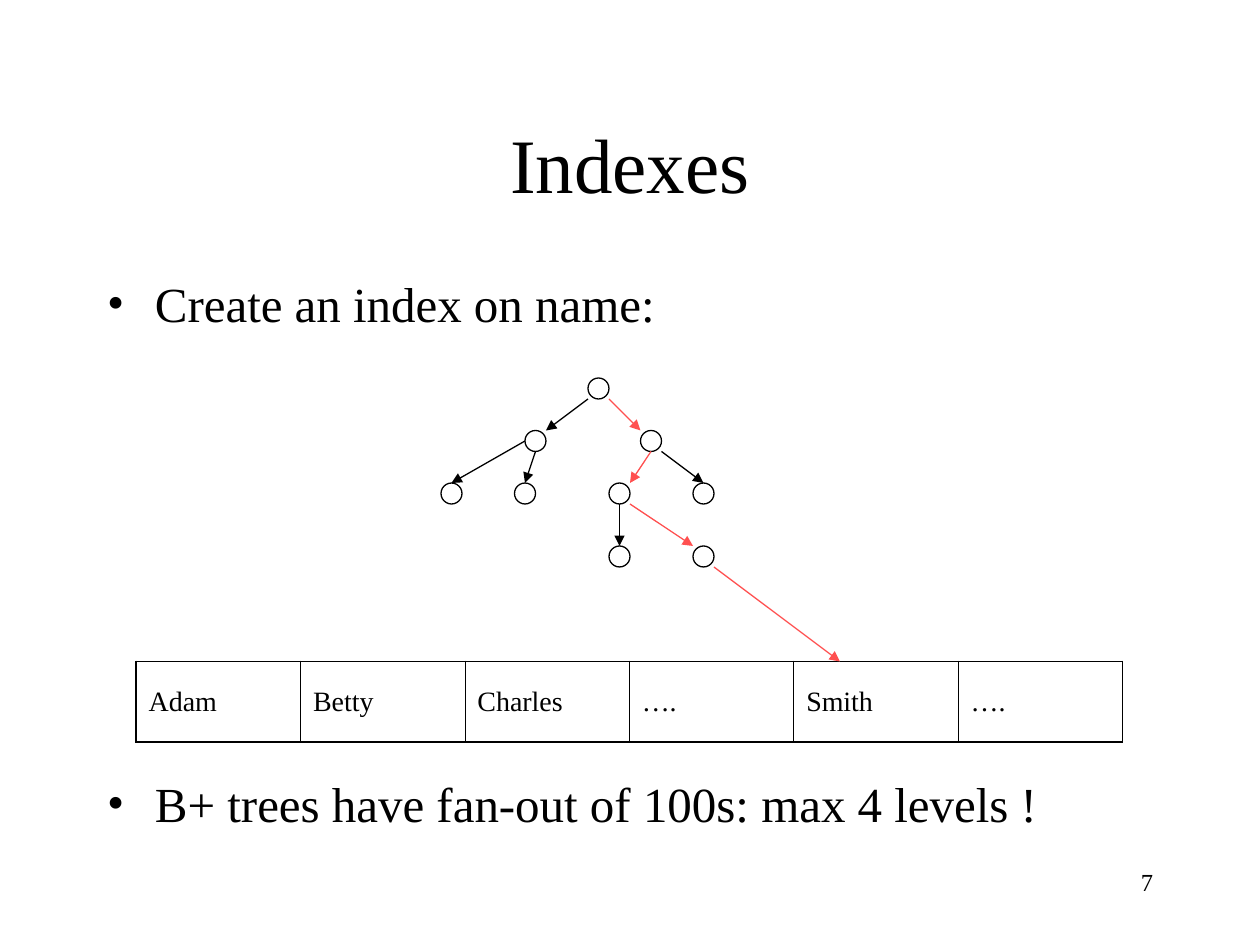
"""Build the slide on indexes: a search tree leading into a row of names."""
import pptx
import pptx.util
import pptx.dml.color
import pptx.oxml
import pptx.oxml.ns
import pptx.enum.text
import pptx.enum.shapes
from dataclasses import dataclass
from lxml import etree

Inches, Pt = pptx.util.Inches, pptx.util.Pt
RGB = pptx.dml.color.RGBColor.from_string
qn = pptx.oxml.ns.qn
ALIGN, ANCHOR = pptx.enum.text.PP_ALIGN, pptx.enum.text.MSO_ANCHOR


@dataclass(frozen=True)
class Theme:
    font: str = "Times New Roman"
    ink: str = "000000"
    path_ink: str = "FF5050"
    title: int = 44
    body: int = 28
    cell: int = 16
    number: int = 14
    line: float = 0.75
    outer: float = 1.08
    inner: float = 0.45


theme = Theme()


def put(p, text, size, align=ALIGN.LEFT, before=0, bullet=False):
    p.alignment = align
    p.space_before = Pt(before)
    r = p.add_run()
    r.text = text
    r.font.name, r.font.size = theme.font, Pt(size)
    r.font.color.rgb = RGB(theme.ink)
    if bullet:
        pPr = p._p.get_or_add_pPr()
        pPr.set("marL", str(Inches(0.38)))
        pPr.set("indent", str(-Inches(0.38)))
        etree.SubElement(pPr, qn("a:buFont")).set("typeface", theme.font)
        etree.SubElement(pPr, qn("a:buChar")).set("char", "•")


prs = pptx.Presentation()
prs.slide_width, prs.slide_height = Inches(10), Inches(7.5)
s = prs.slides.add_slide(prs.slide_layouts[1])

title, body = s.placeholders
title.left, title.top, title.width, title.height = map(Inches, (0.75, 0.67, 8.5, 1.25))
title.text_frame.vertical_anchor = ANCHOR.MIDDLE
put(title.text_frame.paragraphs[0], "Indexes", theme.title, align=ALIGN.CENTER)

body.left, body.top, body.width, body.height = map(Inches, (0.75, 2.17, 8.75, 4.5))
tf = body.text_frame
tf.auto_size = pptx.enum.text.MSO_AUTO_SIZE.NONE
tf.margin_top = 0
put(tf.paragraphs[0], "Create an index on name:", theme.body, before=7, bullet=True)
put(tf.add_paragraph(), "B+ trees have fan-out of 100s: max 4 levels !", theme.body,
    before=252, bullet=True)

number = s.shapes.add_textbox(Inches(7.17), Inches(6.83), Inches(2.08), Inches(0.5))
number.text_frame.word_wrap = True
put(number.text_frame.paragraphs[0], "7", theme.number, align=ALIGN.RIGHT)

names = ["Adam", "Betty", "Charles", "….", "Smith", "…."]
frame = s.shapes.add_table(1, len(names), Inches(1.08), Inches(5.25), Inches(7.83), Inches(0.64))
table = frame.table
table.first_row = table.horz_banding = False
for i, name in enumerate(names):
    cell = table.cell(0, i)
    cell.fill.background()
    cell.vertical_anchor = ANCHOR.MIDDLE
    put(cell.text_frame.paragraphs[0], name, theme.cell, before=4)
    widths = {
        "a:lnL": theme.outer if i == 0 else theme.inner,
        "a:lnR": theme.outer if i == len(names) - 1 else theme.inner,
        "a:lnT": theme.outer,
        "a:lnB": theme.outer,
    }
    tcPr = cell._tc.get_or_add_tcPr()
    for n, (tag, width) in enumerate(widths.items()):
        ln = etree.Element(qn(tag), w=str(Pt(width)))
        fill = etree.SubElement(ln, qn("a:solidFill"))
        etree.SubElement(fill, qn("a:srgbClr")).set("val", theme.ink)
        tcPr.insert(n, ln)

# Tree positions are in twelfths of an inch.
nodes = [(56, 36), (50, 41), (61, 41), (42, 46), (49, 46), (58, 46), (66, 46), (58, 52), (66, 52)]
for x, y in nodes:
    sp = s.shapes.add_shape(pptx.enum.shapes.MSO_SHAPE.OVAL,
                            Inches(x / 12), Inches(y / 12), Inches(2 / 12), Inches(2 / 12))
    sp.shadow.inherit = False
    sp.fill.background()
    sp.line.color.rgb, sp.line.width = RGB(theme.ink), Pt(theme.line)

arrows = [
    (56, 38, 52, 41, theme.ink),
    (58, 38, 61, 41, theme.path_ink),
    (50, 42, 43, 46, theme.ink),
    (51, 43, 50, 46, theme.ink),
    (62, 43, 60, 46, theme.path_ink),
    (63, 43, 67, 46, theme.ink),
    (59, 48, 59, 52, theme.ink),
    (60, 48, 66, 52, theme.path_ink),
    (68, 54, 80, 63, theme.path_ink),
]
for *ends, color in arrows:
    c = s.shapes.add_connector(pptx.enum.shapes.MSO_CONNECTOR.STRAIGHT,
                               *(Inches(v / 12) for v in ends))
    c.line.color.rgb, c.line.width = RGB(color), Pt(theme.line)
    etree.SubElement(c.line._get_or_add_ln(), qn("a:tailEnd")).set("type", "triangle")
    etree.SubElement(c._element.spPr, qn("a:effectLst"))

prs.save("out.pptx")
